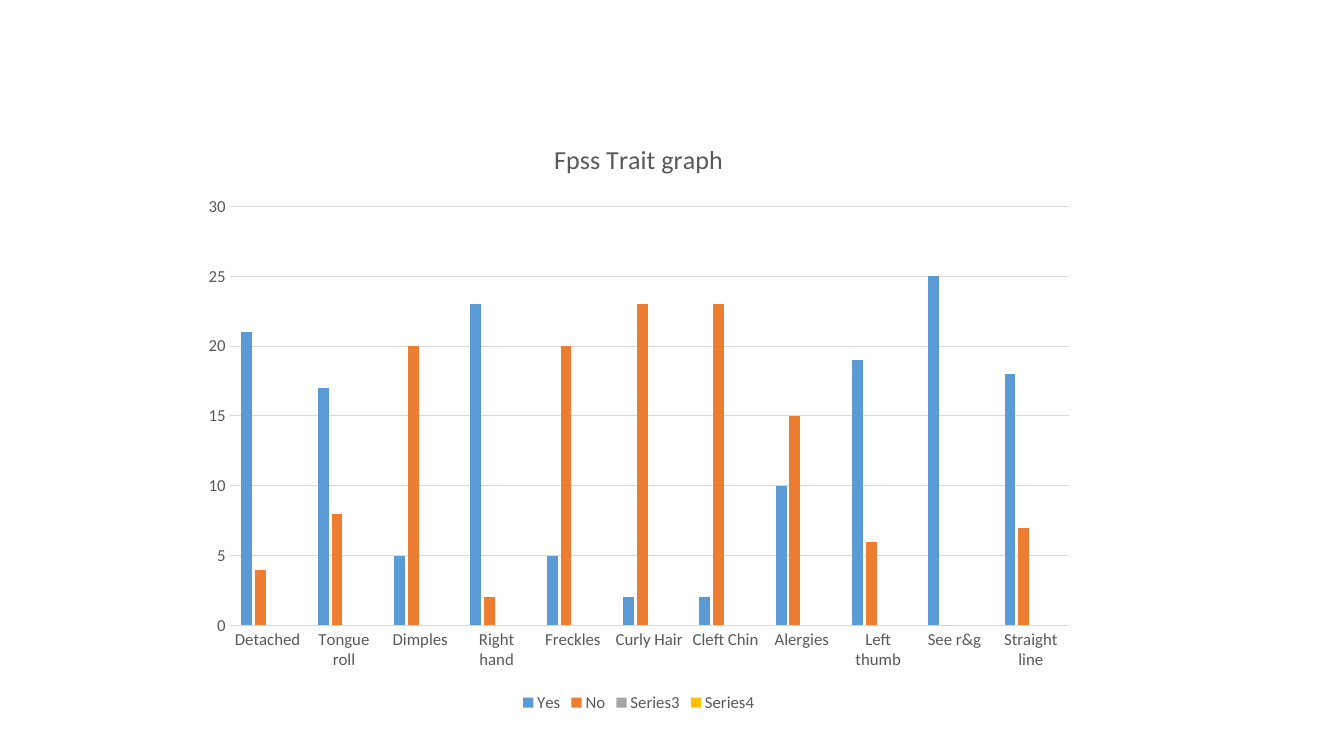
from pptx import Presentation
from pptx.chart.data import CategoryChartData
from pptx.dml.color import RGBColor
from pptx.enum.chart import XL_CHART_TYPE, XL_LEGEND_POSITION, XL_TICK_MARK
from pptx.util import Inches, Pt

COLORS = {
    "text": "595959",
    "rule": "D9D9D9",
    "Yes": "5B9BD5",
    "No": "ED7D31",
    "Series3": "A5A5A5",
    "Series4": "FFC000",
}
TRAITS = ["Detached", "Tongue roll", "Dimples", "Right hand", "Freckles",
          "Curly Hair", "Cleft Chin", "Alergies", "Left thumb", "See r&g",
          "Straight line"]
ANSWERS = {
    "Yes": [21, 17, 5, 23, 5, 2, 2, 10, 19, 25, 18],
    "No": [4, 8, 20, 2, 20, 23, 23, 15, 6, 0, 7],
    "Series3": [None] * len(TRAITS),
    "Series4": [None] * len(TRAITS),
}


def color(name):
    return RGBColor.from_string(COLORS[name])


def format_font(font, size=12, fill="text", bold=False):
    font.name = "Calibri"
    font.size = Pt(size)
    font.bold = bold
    font.color.rgb = color(fill)


def write_text(text_frame, text, **font_format):
    text_frame.text = text
    format_font(text_frame.paragraphs[0].runs[0].font, **font_format)


def draw_rule(line):
    line.color.rgb = color("rule")
    line.width = Pt(0.75)


def add_trait_graph(slide, left, top, width, height):
    counts = CategoryChartData()
    counts.categories = TRAITS
    for answer, values in ANSWERS.items():
        counts.add_series(answer, values)
    graph = slide.shapes.add_chart(
        XL_CHART_TYPE.COLUMN_CLUSTERED, Inches(left), Inches(top),
        Inches(width), Inches(height), counts).chart
    format_font(graph.font)

    # Title and legend
    graph.has_title = True
    write_text(graph.chart_title.text_frame, "Fpss Trait graph", size=18.6)
    graph.chart_title.include_in_layout = False
    graph.has_legend = True
    graph.legend.position = XL_LEGEND_POSITION.BOTTOM
    graph.legend.include_in_layout = False
    format_font(graph.legend.font)

    # Axes
    traits, scale = graph.category_axis, graph.value_axis
    for axis in (traits, scale):
        axis.major_tick_mark = XL_TICK_MARK.NONE
        axis.minor_tick_mark = XL_TICK_MARK.NONE
        format_font(axis.tick_labels.font)
    draw_rule(traits.format.line)
    scale.format.line.fill.background()
    scale.minimum_scale, scale.maximum_scale, scale.major_unit = 0, 30, 5
    scale.has_major_gridlines = True
    draw_rule(scale.major_gridlines.format.line)

    # Columns
    columns = graph.plots[0]
    columns.gap_width = 219
    columns.overlap = -27
    columns.vary_by_categories = False
    for answer in columns.series:
        answer.invert_if_negative = False
        answer.format.fill.solid()
        answer.format.fill.fore_color.rgb = color(answer.name)


def main():
    presentation = Presentation()
    presentation.slide_width = Inches(13.33)
    presentation.slide_height = Inches(7.5)
    slide = presentation.slides.add_slide(presentation.slide_layouts[6])
    add_trait_graph(slide, 1.89, 1.18, 8.89, 5.93)
    presentation.save("out.pptx")


if __name__ == "__main__":
    main()
